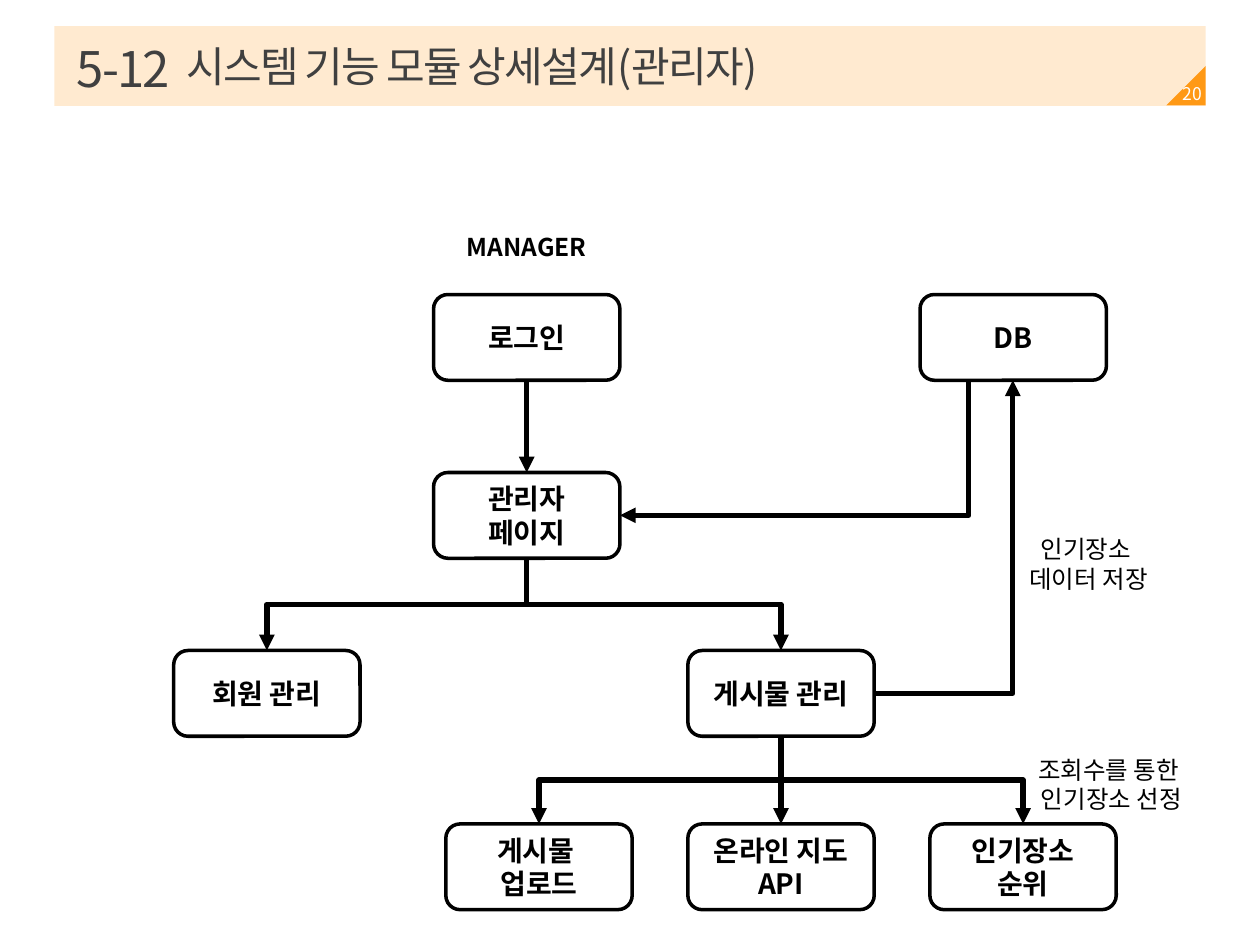
from pptx import Presentation
from pptx import util as u
from pptx.dml.color import RGBColor
from pptx.enum import shapes, text
from pptx.oxml.ns import qn
from lxml import etree

FONT = "Noto Sans CJK KR"
BLACK, GREY, WHITE, ORANGE = "000000", "404040", "FFFFFF", "FF9915"
BOX_W, BOX_H = 106.5, 49
TOP, LEFT, BOTTOM, RIGHT = range(4)


def color(value):
    """Turn a hex string into a colour."""
    return RGBColor.from_string(value)


def write(sp, content, size, ink=BLACK, bold=False, align=text.PP_ALIGN.CENTER,
          anchor=text.MSO_ANCHOR.MIDDLE, spacing=None):
    """Fill a shape with evenly formatted text."""
    tf = sp.text_frame
    tf.word_wrap = True
    tf.vertical_anchor = anchor
    tf.text = content
    for p in tf.paragraphs:
        p.alignment = align
        for r in p.runs:
            r.font.size = u.Pt(size)
            r.font.bold = bold
            r.font.name = FONT
            r.font.color.rgb = color(ink)
            rPr = r.font._element
            etree.SubElement(rPr, qn("a:ea")).set("typeface", FONT)
            if spacing:
                rPr.set("spc", str(spacing))


def add_label(s, content, left, top, width, height, size, **style):
    """Add a text box."""
    sp = s.shapes.add_textbox(u.Pt(left), u.Pt(top), u.Pt(width), u.Pt(height))
    write(sp, content, size, **style)


def add_block(s, kind, left, top, width, height, fill, alpha=None):
    """Add a filled shape without outline."""
    sp = s.shapes.add_shape(kind, u.Pt(left), u.Pt(top), u.Pt(width), u.Pt(height))
    sp.shadow.inherit = False
    sp.fill.solid()
    sp.fill.fore_color.rgb = color(fill)
    sp.line.fill.background()
    if alpha:
        clr = sp._element.spPr.find(qn("a:solidFill"))[0]
        etree.SubElement(clr, qn("a:alpha")).set("val", str(alpha * 1000))
    return sp


def add_box(s, content, center, top):
    """Add a rounded module box centred on a column."""
    sp = s.shapes.add_shape(shapes.MSO_SHAPE.ROUNDED_RECTANGLE, u.Pt(center - BOX_W / 2),
                            u.Pt(top), u.Pt(BOX_W), u.Pt(BOX_H))
    sp.shadow.inherit = False
    sp.fill.background()
    sp.line.color.rgb = color(BLACK)
    sp.line.width = u.Pt(2)
    write(sp, content, 16, bold=True)
    return sp


def style_arrow(cxn, end="a:tailEnd"):
    """Give a connector its black line and one arrowhead."""
    cxn.line.color.rgb = color(BLACK)
    cxn.line.width = u.Pt(3)
    etree.SubElement(cxn.line._get_or_add_ln(), qn(end)).set("type", "triangle")
    etree.SubElement(cxn._element.spPr, qn("a:effectLst"))


def add_down_arrow(s, parent, child):
    """Join a box to one below it, turning halfway when columns differ."""
    x1, y1 = parent.left + parent.width // 2, parent.top + parent.height
    x2, y2 = child.left + child.width // 2, child.top
    straight = x1 == x2
    kind = shapes.MSO_CONNECTOR.STRAIGHT if straight else shapes.MSO_CONNECTOR.ELBOW
    cxn = s.shapes.add_connector(kind, x1, y1, x2, y2)
    cxn.begin_connect(parent, BOTTOM)
    cxn.end_connect(child, TOP)
    if not straight:
        drop, reach = y2 - y1, abs(x2 - x1)
        cxn.left, cxn.top = (x1 + x2 - drop) // 2, (y1 + y2 - reach) // 2
        cxn.width, cxn.height = drop, reach
        xfrm = cxn._element.spPr.find(qn("a:xfrm"))
        xfrm.set("rot", str((90 if x2 < x1 else 270) * 60000))
        xfrm.set("flipH", "0" if x2 < x1 else "1")
    style_arrow(cxn)


def add_corner_arrow(s, box, db, x, end):
    """Run from a box's right side across and up to the database."""
    cxn = s.shapes.add_connector(shapes.MSO_CONNECTOR.ELBOW, box.left + box.width,
                                 box.top + box.height // 2, u.Pt(x), db.top + db.height)
    cxn._element.spPr.find(qn("a:prstGeom")).set("prst", "bentConnector2")
    cxn.begin_connect(box, RIGHT)
    style_arrow(cxn, end)


def add_header(s):
    """Add the title band with its page corner."""
    kinds = shapes.MSO_SHAPE
    add_block(s, kinds.RECTANGLE, 31, 15, 658, 45.5, ORANGE, alpha=20)
    for fill in (WHITE, ORANGE):
        add_block(s, kinds.RIGHT_TRIANGLE, 666.5, 37.7, 22.5, 22.5, fill).rotation = 270
    left = dict(ink=GREY, align=text.PP_ALIGN.LEFT, spacing=-100)
    add_label(s, "시스템 기능 모듈 상세설계(관리자)", 99.4, 18, 493, 39.6, 24, **left)
    add_label(s, "5-12", 36.7, 18.7, 73.5, 39.6, 28, **left)
    add_label(s, "20", 667.5, 43.2, 27.4, 20.9, 10, ink=WHITE)


def main():
    """Build the slide."""
    prs = Presentation()
    prs.slide_width, prs.slide_height = u.Pt(720), u.Pt(540)
    s = prs.slides.add_slide(prs.slide_layouts[6])
    add_header(s)

    login = add_box(s, "로그인", 301, 168.3)
    db = add_box(s, "DB", 579, 168.3)
    page = add_box(s, "관리자\n페이지", 301, 270)
    members = add_box(s, "회원 관리", 152.5, 371.7)
    posts = add_box(s, "게시물 관리", 446.3, 371.7)
    names = ("게시물 \n업로드", "온라인 지도\nAPI", "인기장소\n순위")
    tasks = [add_box(s, name, 446.3 + 138.3 * (i - 1), 470.8) for i, name in enumerate(names)]

    add_down_arrow(s, login, page)
    for child in (members, posts):
        add_down_arrow(s, page, child)
    for child in tasks:
        add_down_arrow(s, posts, child)
    add_corner_arrow(s, page, db, 553.5, "a:headEnd")
    add_corner_arrow(s, posts, db, 578.8, "a:tailEnd")

    top = text.MSO_ANCHOR.TOP
    add_label(s, "MANAGER", 257.5, 129, 87, 24.2, 14, bold=True, anchor=top)
    add_label(s, "조회수를 통한 \n인기장소 선정", 570, 427.7, 130.3, 41.2, 14, anchor=top)
    add_label(s, "인기장소 \n데이터 저장", 576, 301.7, 92.2, 41.2, 14, anchor=top)
    prs.save("out.pptx")


if __name__ == "__main__":
    main()
